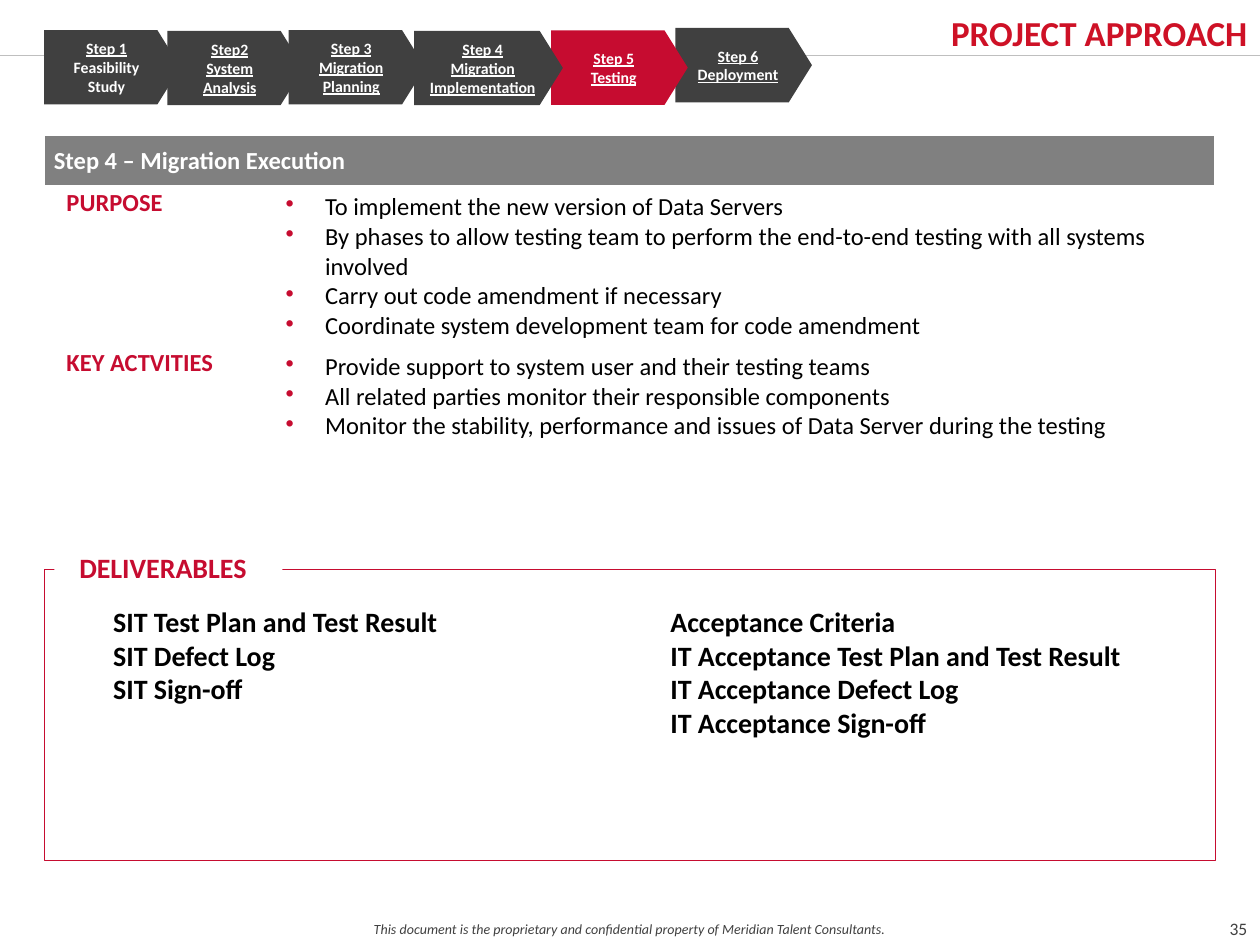
from lxml import etree
from pptx import Presentation
from pptx.dml.color import RGBColor
from pptx.enum import shapes, text
from pptx.oxml.ns import qn
from pptx.util import Pt

RED, DARK, GRAY, WHITE, BLACK = "C60C30", "404040", "808080", "FFFFFF", "000000"
LEFT, MID, RIGHT, EVEN = (text.PP_ALIGN.LEFT, text.PP_ALIGN.CENTER,
                          text.PP_ALIGN.RIGHT, text.PP_ALIGN.JUSTIFY)
FOOTER = ("This document is the proprietary and confidential property of "
          "Meridian Talent Consultants.")
STEPS = [  # label, name, left, top, width, fill
    ("Step 1", "Feasibility Study", 25.2, 17.2, 78, DARK),
    ("Step2", "System Analysis", 95.6, 17.6, 78, DARK),
    ("Step 3", "Migration Planning", 165, 17.2, 78, DARK),
    ("Step 4", "Migration Implementation", 236.6, 17.6, 85, DARK),
    ("Step 5", "Testing", 315, 17.4, 78, RED),
    ("Step 6", "Deployment", 386, 16, 78, DARK),
]
TOPICS = [
    ("PURPOSE", [
        "To implement the new version of Data Servers",
        "By phases to allow testing team to perform the end-to-end testing "
        "with all systems involved",
        "Carry out code amendment if necessary",
        "Coordinate system development team for code amendment"]),
    ("KEY ACTVITIES", [
        "Provide support to system user and their testing teams",
        "All related parties monitor their responsible components",
        "Monitor the stability, performance and issues of Data Server "
        "during the testing"]),
]
OUTPUTS = [
    (57.6, ["SIT Test Plan and Test Result", "SIT Defect Log", "SIT Sign-off"]),
    (376, ["Acceptance Criteria", "IT Acceptance Test Plan and Test Result",
           "IT Acceptance Defect Log", "IT Acceptance Sign-off"]),
]


def rgb(code):
    return RGBColor.from_string(code)


def box(*sizes):
    return [Pt(size) for size in sizes]


def indent(para, left, first=0):
    props = para._p.get_or_add_pPr()
    props.set("marL", str(Pt(left)))
    props.set("indent", str(Pt(first)))
    return props


def bullet(para):
    props = indent(para, 22.5, -22.5)
    tint = etree.SubElement(props, qn("a:buClr"))
    etree.SubElement(tint, qn("a:srgbClr"), val=RED)
    etree.SubElement(props, qn("a:buChar"), char="•")


def label(para):
    indent(para, 7.2)
    para.line_spacing = Pt(15)


def write(frame, lines, size, color, bold=False, align=LEFT, shape=None):
    """Fill a text frame; shape is a function applied to each paragraph."""
    frame.word_wrap = True
    for i, line in enumerate(lines):
        para = frame.add_paragraph() if i else frame.paragraphs[0]
        para.add_run().text = line
        para.alignment = align
        if shape:
            shape(para)
        font = para.font
        font.name, font.size, font.bold = "Calibri", Pt(size), bold
        font.color.rgb = rgb(color)
    return frame.paragraphs


def add_text(slide, place, lines, *style, **more):
    frame = slide.shapes.add_textbox(*box(*place)).text_frame
    return write(frame, lines, *style, **more)


def add_block(slide, kind, place, fill=None, line=None):
    block = slide.shapes.add_shape(kind, *box(*place))
    block.shadow.inherit = False
    if fill:
        block.fill.solid()
        block.fill.fore_color.rgb = rgb(fill)
    else:
        block.fill.background()
    if line:
        block.line.color.rgb = rgb(line)
        block.line.width = Pt(0.25)
    else:
        block.line.fill.background()
    return block


def add_rule(slide):
    rule = slide.shapes.add_connector(shapes.MSO_CONNECTOR.STRAIGHT,
                                      *box(0, 31.7, 720, 31.7))
    rule.line.color.rgb = rgb("BFBFBF")
    rule.line.width = Pt(0.5)
    etree.SubElement(rule._element.spPr, qn("a:effectLst"))


def add_title(slide):
    title = slide.shapes.title
    title.left, title.top, title.width, title.height = box(288.7, 1.4, 431.3, 30.3)
    frame = title.text_frame
    frame.margin_left, frame.margin_right = box(0, 7.2)
    frame.margin_top = frame.margin_bottom = Pt(5)
    frame.vertical_anchor = text.MSO_ANCHOR.TOP
    write(frame, ["PROJECT APPROACH"], 20, "CE1126", True, RIGHT)


def add_table(slide):
    table = slide.shapes.add_table(3, 2, *box(25.2, 77.4, 669, 167)).table
    for col, width in zip(table.columns, (132.5, 536.5)):
        col.width = Pt(width)
    for row, height in zip(table.rows, (28.8, 64.8, 73.4)):
        row.height = Pt(height)
    for cell in table.iter_cells():
        cell.fill.solid()
        cell.fill.fore_color.rgb = rgb(WHITE)
        cell.margin_left = cell.margin_right = Pt(5.6)
    head = table.cell(0, 0)
    head.merge(table.cell(0, 1))
    head.fill.fore_color.rgb = rgb(GRAY)
    head.vertical_anchor = text.MSO_ANCHOR.MIDDLE
    write(head.text_frame, ["Step 4 – Migration Execution"], 14, WHITE, True)
    for i, (name, points) in enumerate(TOPICS, 1):
        write(table.cell(i, 0).text_frame, [name], 14, RED, True, EVEN, label)
        write(table.cell(i, 1).text_frame, points, 14, BLACK, shape=bullet)


def add_outputs(slide):
    rect = shapes.MSO_SHAPE.RECTANGLE
    add_block(slide, rect, (25.2, 325.4, 669, 166), line=RED)
    tag = add_block(slide, rect, (31, 315.4, 130.3, 23), fill=WHITE)
    tag.text_frame.vertical_anchor = text.MSO_ANCHOR.TOP
    write(tag.text_frame, ["DELIVERABLES"], 16, RED, True, shape=label)
    for left, lines in OUTPUTS:
        add_text(slide, (left, 342, 292, 20 * len(lines) + 6), lines,
                 16, BLACK, True, EVEN)


def add_steps(slide):
    for name, task, left, top, width, fill in reversed(STEPS):
        arrow = add_block(slide, shapes.MSO_SHAPE.PENTAGON,
                          (left, top, width, 42.5), fill)
        arrow.adjustments[0] = 0.312
        arrow.text_frame.vertical_anchor = text.MSO_ANCHOR.MIDDLE
        first, last = write(arrow.text_frame, [name, task], 9, WHITE, True, MID)
        first.font.underline = True
        last.font.underline = name != "Step 1"


def main():
    deck = Presentation()
    deck.slide_width, deck.slide_height = box(720, 540)
    slide = deck.slides.add_slide(deck.slide_layouts[5])
    note, = add_text(slide, (0, 522.7, 720, 17.3), [FOOTER], 8, DARK, align=MID)
    note.font.italic = True
    add_text(slide, (691.2, 521, 33, 22), ["35"], 10, DARK, align=MID)
    add_rule(slide)
    add_title(slide)
    add_table(slide)
    add_outputs(slide)
    add_steps(slide)
    deck.save("out.pptx")


if __name__ == "__main__":
    main()
